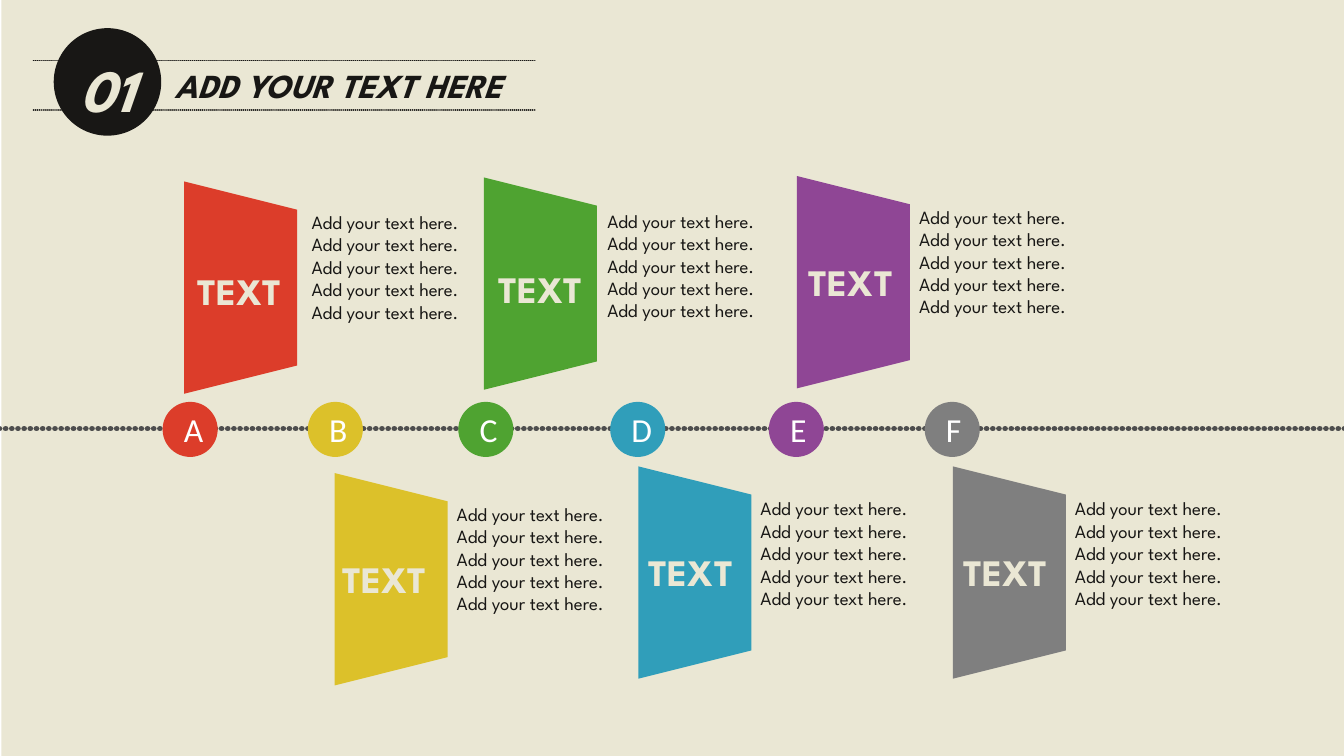
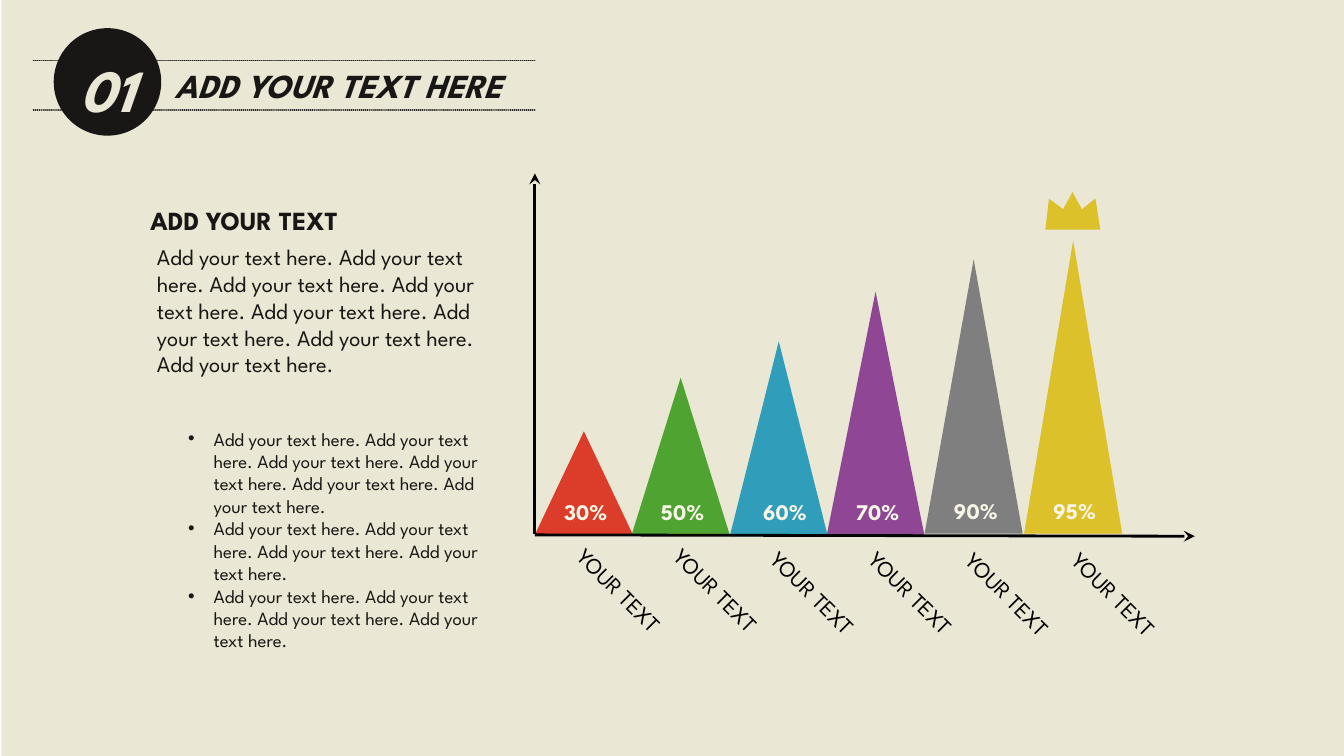
import dataclasses

import lxml.etree as etree
import pptx
import pptx.dml.color
import pptx.enum.shapes
import pptx.enum.text
import pptx.oxml.ns
import pptx.shapes.autoshape
import pptx.shapes.connector
import pptx.slide
import pptx.text.text
import pptx.util

Inches = pptx.util.Inches
Pt = pptx.util.Pt
RGBColor = pptx.dml.color.RGBColor
SHAPE = pptx.enum.shapes.MSO_SHAPE
qn = pptx.oxml.ns.qn

# Shared colours and fonts
CREAM = RGBColor(0xEA, 0xE7, 0xD4)
PALE = RGBColor(0xF9, 0xF6, 0xE7)
WHITE = RGBColor(0xFF, 0xFF, 0xFF)
INK = RGBColor(0x18, 0x17, 0x15)
BLACK = RGBColor(0x00, 0x00, 0x00)
CHARCOAL = RGBColor(0x4E, 0x4E, 0x4E)
RED = RGBColor(0xDC, 0x3D, 0x2A)
YELLOW = RGBColor(0xDC, 0xC1, 0x2A)
GREEN = RGBColor(0x4F, 0xA3, 0x31)
BLUE = RGBColor(0x30, 0x9E, 0xBA)
PURPLE = RGBColor(0x8F, 0x46, 0x95)
GREY = RGBColor(0x7F, 0x7F, 0x7F)
DISPLAY_FONT = "League Spartan"
LETTER_FONT = "Calibri"

SENTENCE = "Add your text here."
Point = tuple[float, float]
Box = tuple[float, float, float, float]


def sentences(count: int) -> str:
    return " ".join([SENTENCE] * count)


@dataclasses.dataclass(frozen=True)
class TextStyle:
    size: float
    color: RGBColor
    bold: bool = False
    italic: bool = False
    font: str = DISPLAY_FONT


TITLE_STYLE = TextStyle(18, INK, bold=True, italic=True)
NUMBER_STYLE = TextStyle(32, CREAM, bold=True, italic=True)
LETTER_STYLE = TextStyle(18, WHITE, font=LETTER_FONT)
PANEL_STYLE = TextStyle(20, CREAM, bold=True)
NOTE_STYLE = TextStyle(10, INK)
HEADING_STYLE = TextStyle(14, INK, bold=True)
INTRO_STYLE = TextStyle(12, INK)
VALUE_STYLE = TextStyle(12, PALE, bold=True)
LABEL_STYLE = TextStyle(12, BLACK)


@dataclasses.dataclass(frozen=True)
class Milestone:
    letter: str
    color: RGBColor
    marker_left: float
    panel: Point
    caption: Point
    note: Point


@dataclasses.dataclass(frozen=True)
class Peak:
    value: str
    color: RGBColor
    left: float
    top: float
    height: float
    value_at: Point
    label_at: Point


MILESTONES = [
    Milestone("A", RED, 1.21, (1, 1.72), (1.37, 1.95), (2.22, 1.52)),
    Milestone("B", YELLOW, 2.29, (2.12, 3.89), (2.45, 4.09), (3.3, 3.69)),
    Milestone("C", GREEN, 3.41, (3.23, 1.69), (3.61, 1.93), (4.42, 1.51)),
    Milestone("D", BLUE, 4.54, (4.38, 3.84), (4.73, 4.04), (5.56, 3.65)),
    Milestone("E", PURPLE, 5.72, (5.56, 1.68), (5.92, 1.88), (6.74, 1.48)),
    Milestone("F", GREY, 6.88, (6.72, 3.84), (7.07, 4.04), (7.9, 3.65)),
]

PEAKS = [
    Peak("30%", RED, 3.98, 3.21, 0.77, (4.1, 3.66), (4.1, 4.27)),
    Peak("50%", GREEN, 4.7, 2.81, 1.17, (4.82, 3.66), (4.82, 4.27)),
    Peak("60%", BLUE, 5.43, 2.54, 1.45, (5.58, 3.66), (5.54, 4.29)),
    Peak("70%", PURPLE, 6.15, 2.17, 1.82, (6.27, 3.66), (6.27, 4.29)),
    Peak("90%", GREY, 6.88, 1.93, 2.04, (7, 3.65), (6.99, 4.3)),
    Peak("95%", YELLOW, 7.62, 1.79, 2.18, (7.74, 3.65), (7.78, 4.3)),
]

# Crown triangles: box and rotation
CROWN = [
    ((7.73, 1.47, 0.23, 0.2), 336.9),
    ((7.87, 1.43, 0.22, 0.2), 0),
    ((8, 1.47, 0.23, 0.2), 21),
    ((7.78, 1.51, 0.41, 0.2), 0),
]


# Drawing helpers
def style_runs(frame: pptx.text.text.TextFrame, style: TextStyle) -> None:
    for paragraph in frame.paragraphs:
        for run in paragraph.runs:
            run.font.name = style.font
            run.font.size = Pt(style.size)
            run.font.bold = style.bold
            run.font.italic = style.italic
            run.font.color.rgb = style.color


def paint(shape: pptx.shapes.autoshape.Shape, color: RGBColor) -> None:
    shape.shadow.inherit = False
    shape.fill.solid()
    shape.fill.fore_color.rgb = color
    shape.line.fill.background()


def add_filled(shapes, kind: SHAPE, box: Box, color: RGBColor,
               rotation: float = 0) -> pptx.shapes.autoshape.Shape:
    shape = shapes.add_shape(kind, *map(Inches, box))
    paint(shape, color)
    shape.rotation = rotation
    return shape


def add_text(slide: pptx.slide.Slide, text: str, box: Box, style: TextStyle,
             wrap: bool = False, rotation: float = 0) -> None:
    textbox = slide.shapes.add_textbox(*map(Inches, box))
    textbox.rotation = rotation
    frame = textbox.text_frame
    frame.word_wrap = wrap
    frame.auto_size = pptx.enum.text.MSO_AUTO_SIZE.SHAPE_TO_FIT_TEXT
    frame.text = text
    style_runs(frame, style)


def fill_placeholder(holder, text: str, box: Box, style: TextStyle,
                     wrap: bool) -> None:
    holder.left, holder.top, holder.width, holder.height = map(Inches, box)
    frame = holder.text_frame
    frame.text = text
    frame.word_wrap = wrap
    frame.auto_size = pptx.enum.text.MSO_AUTO_SIZE.SHAPE_TO_FIT_TEXT
    frame.vertical_anchor = pptx.enum.text.MSO_ANCHOR.TOP
    for paragraph in frame.paragraphs:
        paragraph.alignment = pptx.enum.text.PP_ALIGN.LEFT
        paragraph.space_before = Pt(0)
    style_runs(frame, style)


def add_line(slide: pptx.slide.Slide, start: Point, end: Point,
             color: RGBColor, width: float) -> pptx.shapes.connector.Connector:
    line = slide.shapes.add_connector(
        pptx.enum.shapes.MSO_CONNECTOR.STRAIGHT, *map(Inches, start + end))
    line.line.color.rgb = color
    line.line.width = Pt(width)
    etree.SubElement(line.element.spPr, qn("a:effectLst"))
    return line


def add_dotted_line(slide: pptx.slide.Slide, start: Point, end: Point,
                    color: RGBColor, width: float) -> None:
    """Draw a line of round dots that almost touch."""
    line = add_line(slide, start, end, color, width)
    outline = line.element.spPr.find(qn("a:ln"))
    outline.set("cap", "rnd")
    dashes = etree.SubElement(outline, qn("a:custDash"))
    etree.SubElement(dashes, qn("a:ds"), d="100000", sp="10000")


def add_axis(slide: pptx.slide.Slide, start: Point, end: Point) -> None:
    axis = add_line(slide, start, end, BLACK, 1.5)
    outline = axis.element.spPr.find(qn("a:ln"))
    etree.SubElement(outline, qn("a:tailEnd"), type="stealth")


def add_panel(slide: pptx.slide.Slide, at: Point, color: RGBColor) -> None:
    """Draw a trapezoid whose narrow side is turned to the right."""
    width, height, inset = 1.58, 0.84, 0.21
    left, top = at
    corners = [(left + width - inset, top), (left + width, top + height),
               (left, top + height)]
    builder = slide.shapes.build_freeform(
        Inches(left + inset), Inches(top), scale=1.0)
    builder.add_line_segments(
        [(Inches(x), Inches(y)) for x, y in corners], close=True)
    panel = builder.convert_to_shape()
    paint(panel, color)
    panel.rotation = 90


def add_bullets(frame: pptx.text.text.TextFrame) -> None:
    for paragraph in frame.paragraphs:
        properties = paragraph._p.get_or_add_pPr()
        properties.set("marL", str(Inches(0.19)))
        properties.set("indent", str(-Inches(0.19)))
        bullet_color = etree.SubElement(properties, qn("a:buClr"))
        etree.SubElement(bullet_color, qn("a:srgbClr"), val=str(INK))
        etree.SubElement(properties, qn("a:buFont"), typeface="Arial")
        etree.SubElement(properties, qn("a:buChar"), char="•")


def start_slide(deck, layout_index: int) -> pptx.slide.Slide:
    """Add a slide with the backdrop and the numbered title band."""
    slide = deck.slides.add_slide(deck.slide_layouts[layout_index])
    title = slide.shapes.title
    backdrop = add_filled(
        slide.shapes, SHAPE.RECTANGLE, (0.01, 0, 9.99, 5.64), CREAM)
    title.element.addprevious(backdrop.element)
    for y in (0.45, 0.82):
        add_dotted_line(slide, (0.25, y), (3.98, y), INK, 1)
    add_filled(slide.shapes, SHAPE.OVAL, (0.4, 0.21, 0.8, 0.8), INK)
    fill_placeholder(title, "ADD YOUR TEXT HERE", (1.2, 0.43, 2.69, 0.4),
                     TITLE_STYLE, wrap=False)
    add_text(slide, "01", (0.49, 0.34, 0.69, 0.64), NUMBER_STYLE)
    return slide


# Slide 1: timeline
def build_timeline(deck) -> None:
    slide = start_slide(deck, 5)
    add_dotted_line(slide, (-0.05, 3.19), (10.01, 3.19), CHARCOAL, 3)

    for stop in MILESTONES:
        marker = add_filled(slide.shapes, SHAPE.OVAL,
                            (stop.marker_left, 2.99, 0.41, 0.41), stop.color)
        frame = marker.text_frame
        frame.text = stop.letter
        frame.vertical_anchor = pptx.enum.text.MSO_ANCHOR.MIDDLE
        frame.paragraphs[0].alignment = pptx.enum.text.PP_ALIGN.CENTER
        style_runs(frame, LETTER_STYLE)

        add_panel(slide, stop.panel, stop.color)
        add_text(slide, "TEXT", stop.caption + (0.86, 0.44), PANEL_STYLE)
        add_text(slide, sentences(5), stop.note + (1.35, 1.27), NOTE_STYLE,
                 wrap=True)


# Slide 2: peaks
def build_peaks(deck) -> None:
    slide = start_slide(deck, 1)
    for peak in PEAKS:
        add_filled(slide.shapes, SHAPE.ISOSCELES_TRIANGLE,
                   (peak.left, peak.top, 0.73, peak.height), peak.color)
        add_text(slide, peak.value, peak.value_at + (0.54, 0.3), VALUE_STYLE)
        add_text(slide, "YOUR TEXT", peak.label_at + (1.07, 0.3), LABEL_STYLE,
                 rotation=45)

    crown = slide.shapes.add_group_shape()
    for box, rotation in CROWN:
        add_filled(crown.shapes, SHAPE.ISOSCELES_TRIANGLE, box, YELLOW,
                   rotation)

    add_axis(slide, (3.98, 3.97), (3.98, 1.29))
    add_axis(slide, (3.98, 3.98), (8.89, 3.99))

    # Explanation on the left
    add_text(slide, sentences(8), (1.07, 1.76, 2.83, 1.3), INTRO_STYLE,
             wrap=True)
    add_text(slide, "ADD YOUR TEXT", (1.02, 1.47, 1.74, 0.34), HEADING_STYLE)
    details = slide.placeholders[1]
    fill_placeholder(details, "\n".join(map(sentences, (6, 4, 4))),
                     (1.3, 3.13, 2.47, 1.77), NOTE_STYLE, wrap=True)
    add_bullets(details.text_frame)


def main() -> None:
    deck = pptx.Presentation()
    # Widescreen, 16:9
    deck.slide_width = Inches(10)
    deck.slide_height = deck.slide_width * 9 // 16
    build_timeline(deck)
    build_peaks(deck)
    deck.save("out.pptx")


if __name__ == "__main__":
    main()
